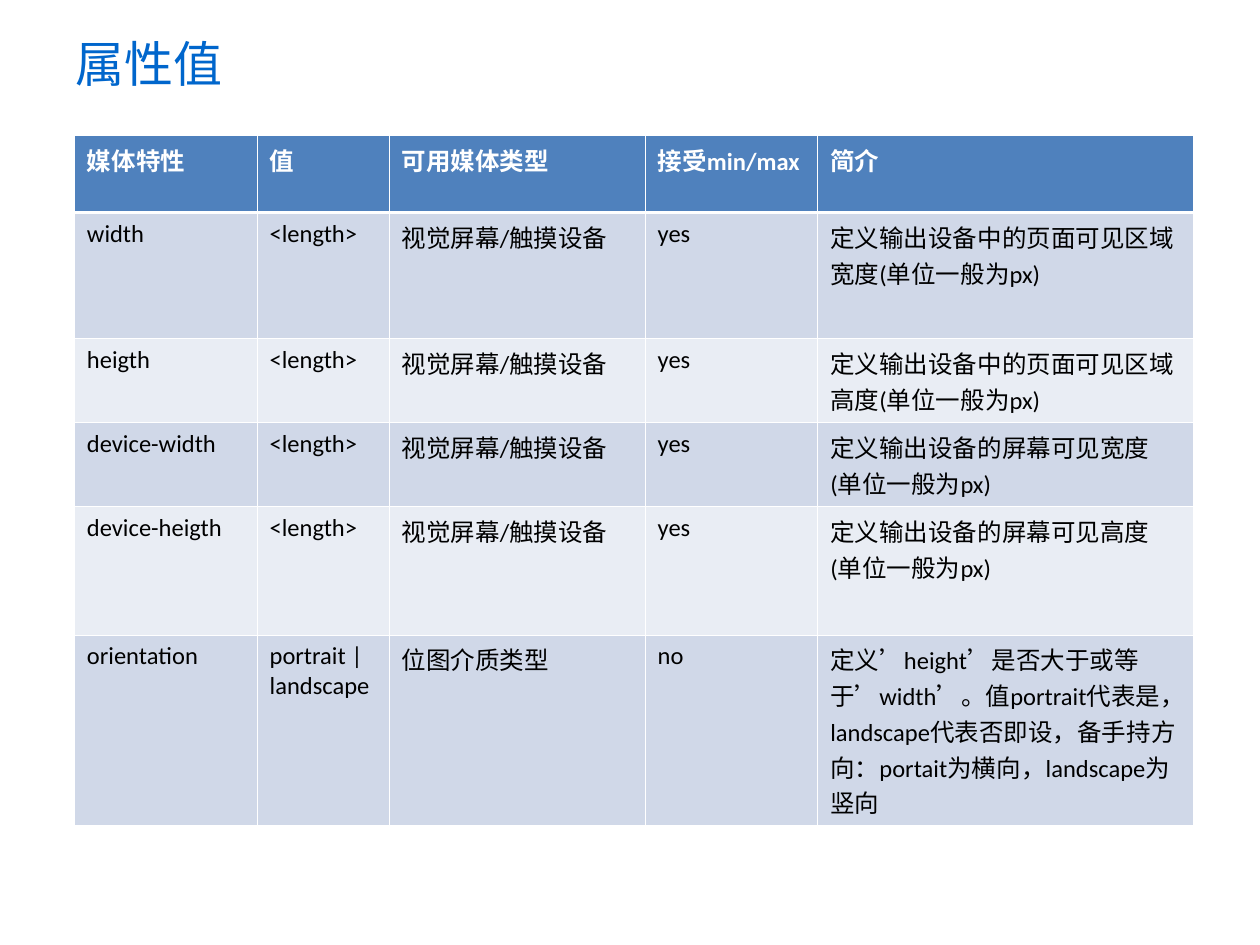
import dataclasses

import lxml.etree
import pptx
import pptx.dml.color
import pptx.enum.text
import pptx.oxml.ns
import pptx.util

Pt = pptx.util.Pt
qn = pptx.oxml.ns.qn

WHITE = "FFFFFF"
THIN, THICK = 0.45, 1.47
COL_WIDTHS = [104.4, 75.4, 146.4, 98.6, 214.6]
SCREEN = "视觉屏幕/触摸设备"


@dataclasses.dataclass
class Row:
    height: float
    cells: list[str]
    fill: str
    color: str = "000000"
    bold: bool = False
    top: float = THIN
    bottom: float = THIN


DARK, LIGHT = "D0D8E8", "E9EDF4"
ROWS = [
    Row(44.2, ["媒体特性", "值", "可用媒体类型", "接受min/max", "简介"],
        "4F81BD", WHITE, bold=True, bottom=THICK),
    Row(72, ["width", "<length>", SCREEN, "yes",
             "定义输出设备中的页面可见区域宽度(单位一般为px)"], DARK, top=THICK),
    Row(48, ["heigth", "<length>", SCREEN, "yes",
             "定义输出设备中的页面可见区域高度(单位一般为px)"], LIGHT),
    Row(48, ["device-width", "<length>", SCREEN, "yes",
             "定义输出设备的屏幕可见宽度(单位一般为px)"], DARK),
    Row(73.4, ["device-heigth", "<length>", SCREEN, "yes",
               "定义输出设备的屏幕可见高度(单位一般为px)"], LIGHT),
    Row(109, ["orientation", "portrait | landscape", "位图介质类型", "no",
              "定义’height’是否大于或等于’width’。值portrait代表是，"
              "landscape代表否即设，备手持方向：portait为横向，"
              "landscape为竖向"], DARK),
]


def rgb(value: str) -> pptx.dml.color.RGBColor:
    return pptx.dml.color.RGBColor.from_string(value)


def write(tf, text: str, *, size: float, font: str, color: str,
          bold: bool = False) -> None:
    tf.word_wrap = True
    r = tf.paragraphs[0].add_run()
    r.text = text
    r.font.size = Pt(size)
    r.font.name = font
    r.font.bold = bold
    r.font.color.rgb = rgb(color)


def add_border(cell, side: str, width: float, color: str) -> None:
    tc_pr = cell._tc.get_or_add_tcPr()
    ln = lxml.etree.SubElement(tc_pr, qn(f"a:ln{side}"), w=str(int(Pt(width))))
    fill = lxml.etree.SubElement(ln, qn("a:solidFill"))
    lxml.etree.SubElement(fill, qn("a:srgbClr"), val=color)


def draw_row(table, index: int, row: Row) -> None:
    table.rows[index].height = Pt(row.height)
    borders = {"L": THIN, "R": THIN, "T": row.top, "B": row.bottom}
    for cell, text in zip(table.rows[index].cells, row.cells):
        for side, width in borders.items():
            add_border(cell, side, width, WHITE)
        cell.fill.solid()
        cell.fill.fore_color.rgb = rgb(row.fill)
        write(cell.text_frame, text, size=14, font="Calibri",
              color=row.color, bold=row.bold)


def main() -> None:
    prs = pptx.Presentation()
    prs.slide_width, prs.slide_height = Pt(720), Pt(540)
    s = prs.slides.add_slide(prs.slide_layouts[6])

    title = s.shapes.add_textbox(Pt(36), Pt(0), Pt(551), Pt(72))
    title.text_frame.vertical_anchor = pptx.enum.text.MSO_ANCHOR.MIDDLE
    write(title.text_frame, "属性值", size=28, font="Arial", color="0066CC")

    table = s.shapes.add_table(
        len(ROWS), len(COL_WIDTHS), Pt(42.5), Pt(77.3),
        Pt(sum(COL_WIDTHS)), Pt(sum(row.height for row in ROWS))).table
    for column, width in zip(table.columns, COL_WIDTHS):
        column.width = Pt(width)
    for index, row in enumerate(ROWS):
        draw_row(table, index, row)

    prs.save("out.pptx")


if __name__ == "__main__":
    main()
